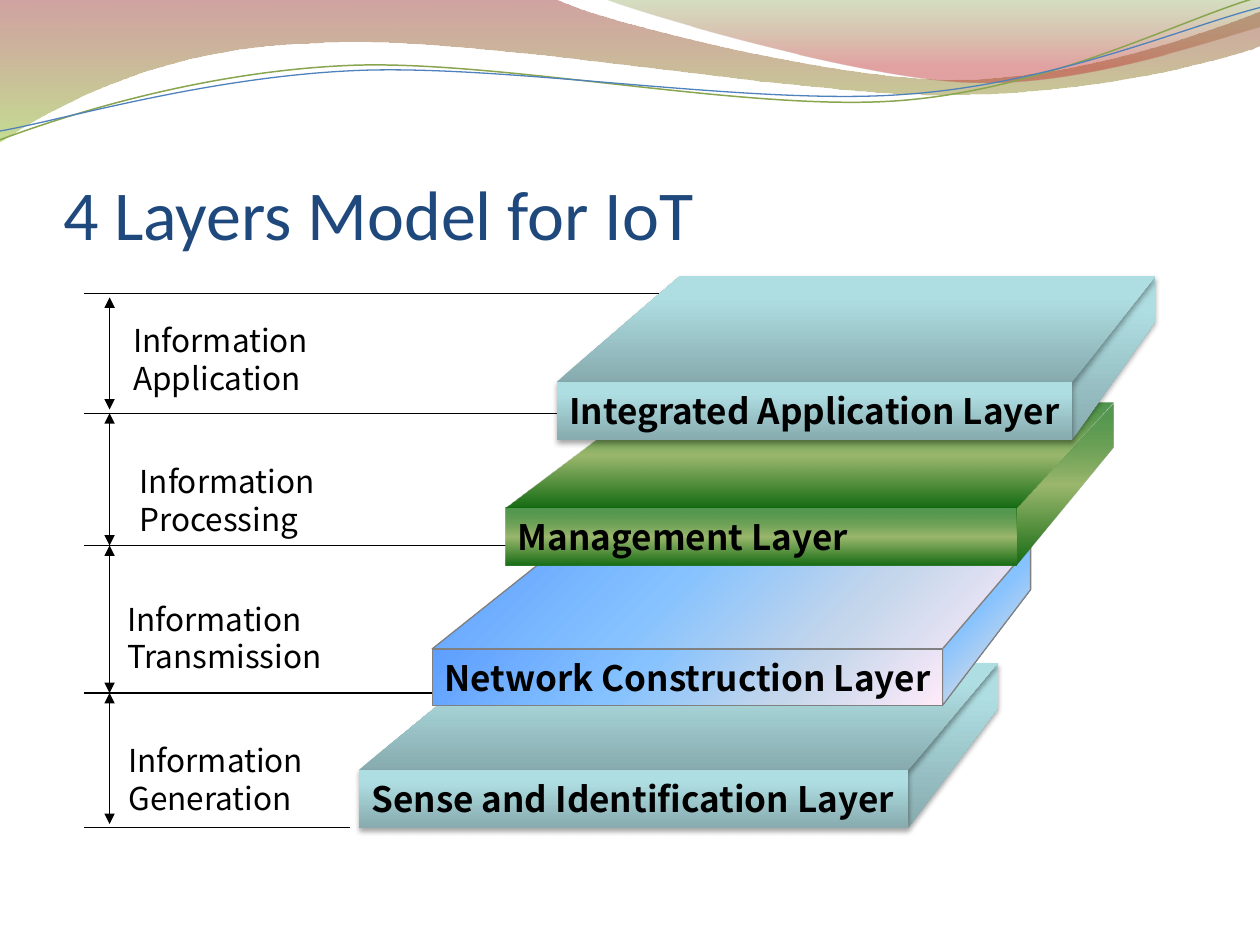
import lxml.etree
import pptx
import pptx.dml.color
import pptx.enum.shapes
import pptx.enum.text
import pptx.oxml.ns
import pptx.util

SCALE = 9144  # EMU per px, 100 px to the inch
COLORS = {
    "black": "000000", "title": "1F497D", "edge": "808080",
    "green line": "89A54F", "blue line": "4F81BD",
}
# Stops are (position %, colour, opacity %); the angle runs clockwise.
GRADIENTS = {
    "wide wave": (90, [(0, "973330", 45), (100, "95C238", 55)]),
    "corner wave": (90, [(0, "769537", 30), (80, "BE3330", 45)]),
    "teal": (270, [(0, "87ABAE", 100), (80, "AFDEE2", 100), (100, "AFE0E4", 100)]),
    "blue": (45, [(0, "5E9EFF", 100), (40, "85C2FF", 100),
                  (70, "C4D6EB", 100), (100, "FFEBFA", 100)]),
    "green": (90, [(0, "006600", 68), (50, "9CB86E", 100), (100, "156B13", 100)]),
}
ANCHOR = pptx.enum.text.MSO_ANCHOR
LEFT = pptx.enum.text.PP_ALIGN.LEFT
TITLE_FONT = {"name": "Calibri", "size": pptx.util.Pt(40)}
LABEL_FONT = {"name": "Noto Sans CJK SC", "size": pptx.util.Pt(18)}
LAYER_FONT = {"name": "Noto Sans CJK SC", "size": pptx.util.Pt(20), "bold": True}

# Each outline is a start point, then lines (x, y) or curves (x1, y1, x2, y2, x, y).
WAVES = [
    ("wide wave", (0, 0), [
        (440, -1), (476, 17, 664, 63, 758, 63), (853, 63, 958, 26, 1000, 9),
        (1001, 36), (983, 44, 870, 76, 746, 75), (622, 75, 382, 28, 257, 34),
        (129, 36, 46, 83, -1, 113)]),
    ("corner wave", (479, -1), [
        (509, 11, 682, 62, 769, 65), (856, 69, 961, 32, 1000, 21), (1000, 0)]),
]
WAVE_LINES = [
    ("green line", 0.85, (0, 111), [
        (48, 93, 158, 57, 277, 52), (395, 47, 593, 89, 713, 80),
        (833, 71, 938, 15, 998, -2)]),
    ("blue line", 0.75, (0, 104), [
        (47, 96, 164, 61, 283, 56), (403, 51, 597, 84, 717, 75),
        (836, 67, 941, 21, 1000, 6)]),
]
BOUNDARIES = [(596, 233), (596, 328), (493, 433), (377, 550), (278, 657)]
SPANS = [(236, 325), (328, 433), (433, 550), (550, 654)]
LABELS = [
    ("Information Application", 96, 250, 252),
    ("Information Processing", 101, 362, 225),
    ("Information Transmission", 91, 471, 252),
    ("Information Generation", 92, 583, 222),
]
# Front face (left, top, right, bottom), then the back face in the same order.
LAYERS = [
    ("Sense and Identification Layer", "teal", (285, 611, 721, 657), (389, 526, 792, 562)),
    ("Network Construction Layer", "blue", (343, 515, 748, 560), (446, 433, 818, 468)),
    ("Management Layer", "green", (401, 403, 807, 449), (513, 320, 884, 355)),
    ("Integrated Application Layer", "teal", (442, 303, 851, 349), (540, 219, 917, 255)),
]


def px(*lengths):
    return [length * SCALE for length in lengths]


def set_all(target, values):
    for name, value in values.items():
        setattr(target, name, value)


def add_xml(parent, tag, **attributes):
    return lxml.etree.SubElement(parent, pptx.oxml.ns.qn(tag), attributes)


class SlideBuilder:
    def __init__(self, slide):
        self.slide = slide

    def rgb(self, name):
        return pptx.dml.color.RGBColor.from_string(COLORS[name])

    def fill(self, shape, name):
        if name is None:
            shape.fill.background()
            return
        angle, stops = GRADIENTS[name]
        shape.fill.gradient()
        shape.fill.gradient_angle = 360 - angle
        stop_list = shape._element.spPr.find(".//" + pptx.oxml.ns.qn("a:gsLst"))
        for old_stop in list(stop_list):
            stop_list.remove(old_stop)
        for position, color, opacity in stops:
            stop = add_xml(stop_list, "a:gs", pos=str(position * 1000))
            color_element = add_xml(stop, "a:srgbClr", val=color)
            if opacity < 100:
                add_xml(color_element, "a:alpha", val=str(opacity * 1000))

    def outline(self, shape, color, width):
        if color is None:
            shape.line.fill.background()
        else:
            shape.line.color.rgb = self.rgb(color)
            shape.line.width = pptx.util.Pt(width)

    def style(self, shape, fill=None, line=None, width=0.75, shadow=False):
        self.fill(shape, fill)
        self.outline(shape, line, width)
        shape.shadow.inherit = False
        if shadow:
            effects = shape._element.spPr.find(pptx.oxml.ns.qn("a:effectLst"))
            outer = add_xml(effects, "a:outerShdw", blurRad="39370", dist="22860",
                            dir="5400000", rotWithShape="0")
            color = add_xml(outer, "a:srgbClr", val=COLORS["black"])
            add_xml(color, "a:alpha", val="35000")

    def set_text(self, shape, text, font, color, frame):
        text_frame = shape.text_frame
        set_all(text_frame, frame)
        paragraph = text_frame.paragraphs[0]
        paragraph.alignment = LEFT
        run = paragraph.add_run()
        run.text = text
        set_all(run.font, font)
        run.font.color.rgb = self.rgb(color)

    def title(self, text, left, top, width, height):
        title = self.slide.shapes.title
        box = dict(zip(("left", "top", "width", "height"), px(left, top, width, height)))
        set_all(title, box)
        self.set_text(title, text, TITLE_FONT, "title", {
            "vertical_anchor": ANCHOR.BOTTOM, "margin_left": 0, "margin_right": 0,
            "margin_top": 5 * SCALE, "margin_bottom": 0, "word_wrap": True})

    def label(self, text, left, top, width):
        box = self.slide.shapes.add_textbox(*px(left, top, width, 71))
        self.set_text(box, text, LABEL_FONT, "black", {"word_wrap": True})

    def freeform(self, shapes, start, segments, close=True, **style):
        """Draw a freeform, turning six-number segments into Bézier curves."""
        builder = shapes.build_freeform(*start, scale=SCALE)
        builder.add_line_segments([segment[-2:] for segment in segments], close=close)
        shape = builder.convert_to_shape()
        left, top = (min(values) for values in zip(start, *(s[-2:] for s in segments)))
        lines = list(shape._element.iter(pptx.oxml.ns.qn("a:lnTo")))
        for line, segment in zip(lines, segments):
            if len(segment) == 6:
                line.tag = pptx.oxml.ns.qn("a:cubicBezTo")
                for index in (0, 2):
                    point = add_xml(line, "a:pt", x=str(segment[index] - left),
                                    y=str(segment[index + 1] - top))
                    line.insert(index // 2, point)
        self.style(shape, **style)

    def connector(self, start, end, arrows=False):
        line = self.slide.shapes.add_connector(
            pptx.enum.shapes.MSO_CONNECTOR.STRAIGHT, *px(*start, *end))
        self.outline(line, "black", 0.75)
        if arrows:
            for tag in ("a:headEnd", "a:tailEnd"):
                add_xml(line.line._get_or_add_ln(), tag, type="triangle")
        add_xml(line._element.spPr, "a:effectLst")

    def layer(self, text, fill, front, back):
        """Draw a slab as a group of side, top and front faces."""
        left, top, right, bottom = front
        back_left, back_top, back_right, back_bottom = back
        style = {"fill": fill, "line": "edge" if fill == "blue" else None,
                 "shadow": fill == "teal"}
        shapes = self.slide.shapes.add_group_shape().shapes
        self.freeform(shapes, (back_right, back_bottom), [
            (right, bottom), (right, top), (back_right, back_top)], width=0, **style)
        self.freeform(shapes, (right, top), [
            (left, top), (back_left, back_top), (back_right, back_top)], width=0, **style)
        face = shapes.add_shape(pptx.enum.shapes.MSO_SHAPE.RECTANGLE,
                                *px(left, top, right - left, bottom - top))
        self.style(face, **style)
        self.set_text(face, text, LAYER_FONT, "black",
                      {"vertical_anchor": ANCHOR.MIDDLE, "word_wrap": False})


def main():
    presentation = pptx.Presentation()
    presentation.slide_width, presentation.slide_height = px(1000, 750)
    slide = presentation.slides.add_slide(presentation.slide_layouts[5])
    builder = SlideBuilder(slide)
    for fill, start, segments in WAVES:
        builder.freeform(slide.shapes, start, segments, fill=fill)
    for color, width, start, segments in WAVE_LINES:
        builder.freeform(slide.shapes, start, segments, close=False,
                         line=color, width=width)
    builder.title("4 Layers Model for IoT", 50, 77, 908, 125)
    for right, y in BOUNDARIES:
        builder.connector((right, y), (67, y))
    for top, bottom in SPANS:
        builder.connector((87, top), (87, bottom), arrows=True)
    for label in LABELS:
        builder.label(*label)
    for layer in LAYERS:
        builder.layer(*layer)
    presentation.save("out.pptx")


if __name__ == "__main__":
    main()
